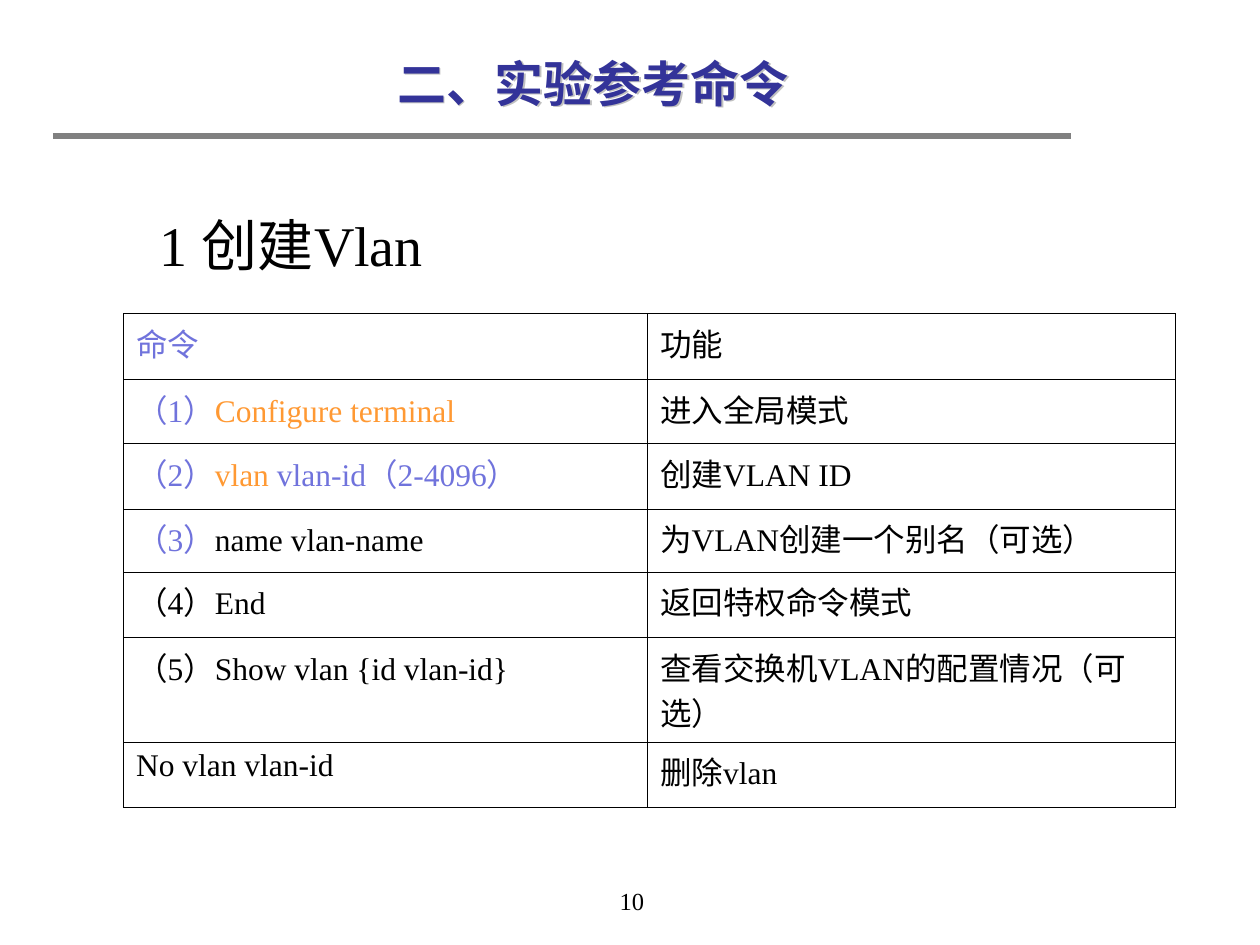
import pptx
import pptx.util
import pptx.dml.color
import pptx.enum.shapes
import pptx.enum.text
import pptx.oxml.ns
import lxml.etree

Inches = pptx.util.Inches
Pt = pptx.util.Pt
RGBColor = pptx.dml.color.RGBColor
PP_ALIGN = pptx.enum.text.PP_ALIGN
MSO_ANCHOR = pptx.enum.text.MSO_ANCHOR
qn = pptx.oxml.ns.qn

BLACK = RGBColor(0x00, 0x00, 0x00)
WHITE = RGBColor(0xFF, 0xFF, 0xFF)
GRAY = RGBColor(0x80, 0x80, 0x80)
SILVER = RGBColor(0xC0, 0xC0, 0xC0)
NAVY = RGBColor(0x33, 0x33, 0x99)
VIOLET = RGBColor(0x70, 0x73, 0xDC)
ORANGE = RGBColor(0xFF, 0x99, 0x33)

FONT_NAME = "Times New Roman"
COLUMN_WIDTHS = [4.16, 4.19]
ROW_HEIGHTS = [0.52, 0.51, 0.52, 0.5, 0.52, 0.83, 0.52]
COMMANDS = [
    ([("命令", VIOLET)], "功能"),
    ([("（1）", VIOLET), ("Configure terminal", ORANGE)], "进入全局模式"),
    ([("（2）", VIOLET), ("vlan", ORANGE), (" vlan-id（2-4096）", VIOLET)], "创建VLAN ID"),
    ([("（3）", VIOLET), ("name vlan-name", BLACK)], "为VLAN创建一个别名（可选）"),
    ([("（4）End", BLACK)], "返回特权命令模式"),
    ([("（5）Show vlan {id vlan-id}", BLACK)], "查看交换机VLAN的配置情况（可选）"),
    ([("No vlan vlan-id", BLACK)], "删除vlan"),
]


def apply_format(target, values):
    for name, value in values.items():
        setattr(target, name, value)


def add_run(paragraph, text, color, size, bold=False):
    run = paragraph.add_run()
    run.text = text
    apply_format(run.font, {"name": FONT_NAME, "size": Pt(size), "bold": bold})
    run.font.color.rgb = color


def add_text(slide, box, text, color, size, bold=False, alignment=PP_ALIGN.LEFT,
             anchor=MSO_ANCHOR.TOP, wrap=True):
    shape = slide.shapes.add_textbox(*map(Inches, box))
    apply_format(shape.text_frame, {"word_wrap": wrap, "vertical_anchor": anchor})
    paragraph = shape.text_frame.paragraphs[0]
    paragraph.alignment = alignment
    add_run(paragraph, text, color, size, bold)
    return shape


def add_effects(shape):
    return lxml.etree.SubElement(shape._element.spPr, qn("a:effectLst"))


def add_text_shadow(shape):
    shadow = lxml.etree.SubElement(
        add_effects(shape), qn("a:outerShdw"), dist=str(Inches(0.02)), dir="2700000")
    lxml.etree.SubElement(shadow, qn("a:srgbClr"), val=str(SILVER))


def add_header(slide, box):
    left, top, width, height = box
    title = add_text(slide, (left + 0.41, top, 7.75, 0.75), "二、实验参考命令", NAVY, 28,
                     True, PP_ALIGN.CENTER, MSO_ANCHOR.MIDDLE)
    add_text_shadow(title)
    bottom = Inches(top + height)
    rule = slide.shapes.add_connector(
        pptx.enum.shapes.MSO_CONNECTOR.STRAIGHT,
        Inches(left), bottom, Inches(left + width), bottom)
    rule.line.color.rgb = GRAY
    rule.line.width = Pt(3)
    add_effects(rule)


def add_cell_borders(cell):
    properties = cell._tc.get_or_add_tcPr()
    for side in ("lnL", "lnR", "lnT", "lnB"):
        line = lxml.etree.SubElement(properties, qn(f"a:{side}"), w=str(Pt(0.45)))
        fill = lxml.etree.SubElement(line, qn("a:solidFill"))
        lxml.etree.SubElement(fill, qn("a:srgbClr"), val=str(BLACK))


def fill_cell(cell, parts):
    add_cell_borders(cell)
    cell.fill.solid()
    cell.fill.fore_color.rgb = WHITE
    for text, color in parts:
        add_run(cell.text_frame.paragraphs[0], text, color, 18)


def add_command_table(slide, box):
    table = slide.shapes.add_table(
        len(COMMANDS), len(COLUMN_WIDTHS), *map(Inches, box)).table
    apply_format(table, {"first_row": False, "horz_banding": False})
    for column, width in zip(table.columns, COLUMN_WIDTHS):
        column.width = Inches(width)
    for row, height, (command, purpose) in zip(table.rows, ROW_HEIGHTS, COMMANDS):
        row.height = Inches(height)
        fill_cell(row.cells[0], command)
        fill_cell(row.cells[1], [(purpose, BLACK)])


def main():
    presentation = pptx.Presentation()
    apply_format(presentation, {"slide_width": Inches(10), "slide_height": Inches(7.5)})
    slide = presentation.slides.add_slide(presentation.slide_layouts[6])
    add_header(slide, (0.42, 0.28, 8.08, 0.8))
    add_text(slide, (3.43, 6.98, 3.17, 0.52), "10", BLACK, 14, alignment=PP_ALIGN.CENTER)
    add_command_table(slide, (0.98, 2.49, sum(COLUMN_WIDTHS), sum(ROW_HEIGHTS)))
    add_text(slide, (1.17, 1.62, 2.5, 0.64), "1 创建Vlan", BLACK, 32, wrap=False)
    presentation.save("out.pptx")


if __name__ == "__main__":
    main()
